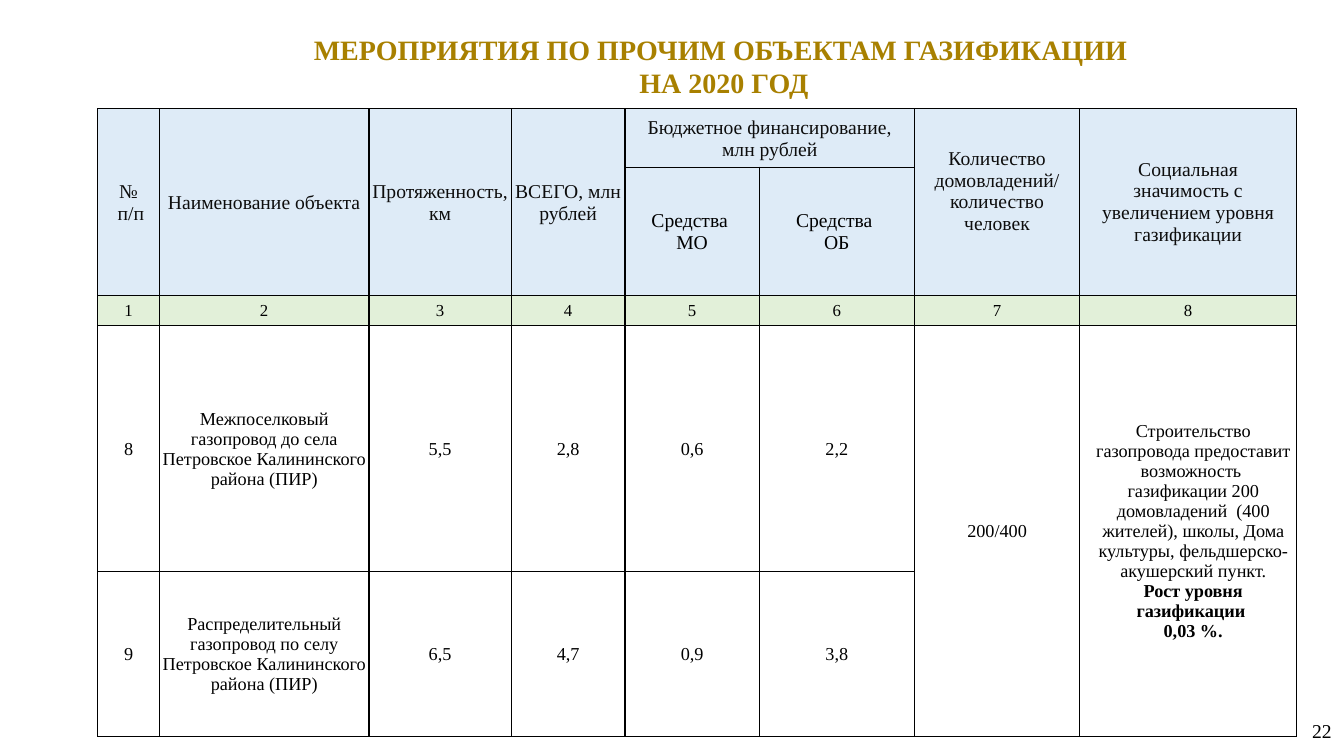
from dataclasses import dataclass

from lxml import etree
from pptx import Presentation
from pptx.dml.color import RGBColor
from pptx.enum import text
from pptx.oxml import ns
from pptx.util import Inches, Pt

TITLE = ["МЕРОПРИЯТИЯ ПО ПРОЧИМ ОБЪЕКТАМ ГАЗИФИКАЦИИ ", "НА 2020 ГОД"]
PAGE_NUMBER = ["22"]
TITLE_BOX = (1.24, 0.25, 11.88, 0.67)
PAGE_NUMBER_BOX = (12.85, 7.08, 0.52, 0.34)
TABLE_ORIGIN = (0.97, 1.08)
COLUMN_WIDTHS = [0.61, 2.08, 1.41, 1.13, 1.33, 1.54, 1.64, 2.15]
ROW_HEIGHTS = [0.58, 1.27, 0.3, 2.44, 1.64]

# One entry per cell, one line per paragraph; None is covered by a merged cell.
HEADER_ROWS = [
    ["№\n п/п", "Наименование объекта", "Протяженность, км", "ВСЕГО, млн рублей",
     "Бюджетное финансирование,\nмлн рублей", None,
     "Количество домовладений/\nколичество человек",
     "Социальная значимость с увеличением уровня газификации"],
    [None, None, None, None, "Средства \nМО", "Средства \nОБ", None, None],
]
NUMBER_ROWS = [[str(number) for number in range(1, 9)]]
BODY_ROWS = [
    ["8", "Межпоселковый газопровод до села Петровское Калининского района (ПИР)",
     "5,5", "2,8", "0,6", "2,2", "200/400",
     "Строительство газопровода предоставит возможность  газификации 200 домовладений  "
     "(400 жителей), школы, Дома культуры, фельдшерско-акушерский пункт.\n"
     "Рост уровня газификации \n 0,03 %. "],
    ["9", "Распределительный газопровод по селу Петровское Калининского района (ПИР)",
     "6,5", "4,7", "0,9", "3,8", None, None],
]
MERGES = [((0, column), (1, column)) for column in (0, 1, 2, 3, 6, 7)]
MERGES += [((0, 4), (0, 5)), ((3, 6), (4, 6)), ((3, 7), (4, 7))]
HOUSEHOLDS_HEADER = (0, 6)
SIGNIFICANCE_CELL = (3, 7)


@dataclass(frozen=True)
class Theme:
    font: str = "Times New Roman"
    title: str = "A88000"
    heading: str = "0D0D0D"
    ink: str = "000000"
    header_fill: str = "DEEBF7"
    number_fill: str = "E2F0D9"
    body_fill: str = "FFFFFF"
    title_size: int = 20
    header_size: int = 14
    number_size: int = 12
    body_size: int = 13
    border: int = 1


THEME = Theme()


def write(frame, lines, size, color, bold_from=None, indent=0):
    """Fill a frame with centred paragraphs, bold from the given line on."""
    frame.word_wrap = True
    for index, line in enumerate(lines):
        paragraph = frame.paragraphs[0] if index == 0 else frame.add_paragraph()
        paragraph.alignment = text.PP_ALIGN.CENTER
        if indent:
            properties = paragraph._p.get_or_add_pPr()
            properties.set("marL", str(Inches(indent)))
            properties.set("indent", "0")
        run = paragraph.add_run()
        run.text = line
        run.font.name = THEME.font
        run.font.size = Pt(size)
        run.font.bold = bold_from is not None and index >= bold_from
        run.font.color.rgb = RGBColor.from_string(color)


def set_margins(target, left, top, right, bottom):
    target.margin_left, target.margin_top = Inches(left), Inches(top)
    target.margin_right, target.margin_bottom = Inches(right), Inches(bottom)


def add_borders(cell):
    properties = cell._tc.get_or_add_tcPr()
    for index, side in enumerate(("lnL", "lnR", "lnT", "lnB")):
        line = etree.Element(ns.qn(f"a:{side}"), w=str(Pt(THEME.border)))
        fill = etree.SubElement(line, ns.qn("a:solidFill"))
        etree.SubElement(fill, ns.qn("a:srgbClr"), val=THEME.ink)
        properties.insert(index, line)


def add_text(slide, box, lines, size, color, bold_from=None):
    shape = slide.shapes.add_textbox(*map(Inches, box))
    write(shape.text_frame, lines, size, color, bold_from)
    return shape.text_frame


def fill_cell(cell, position, content, size, color, fill):
    cell.fill.solid()
    cell.fill.fore_color.rgb = RGBColor.from_string(fill)
    add_borders(cell)
    if content is None:
        return
    row, column = position
    cell.vertical_anchor = text.MSO_ANCHOR.MIDDLE
    if row < 3 and column >= 6:
        raised = 0.21 if position == HOUSEHOLDS_HEADER else 0
        set_margins(cell, 0.1, 0.05, 0.1, 0.05 + raised)
    else:
        set_margins(cell, 0.01, 0.01, 0.01, 0)
    is_significance = position == SIGNIFICANCE_CELL
    write(cell.text_frame, content.split("\n"), size, color,
          bold_from=1 if is_significance else None,
          indent=0.1 if is_significance else 0)


def add_table(slide):
    left, top = TABLE_ORIGIN
    table = slide.shapes.add_table(
        len(ROW_HEIGHTS), len(COLUMN_WIDTHS), Inches(left), Inches(top),
        Inches(sum(COLUMN_WIDTHS)), Inches(sum(ROW_HEIGHTS))).table
    table.first_row = table.horz_banding = False
    for column, width in zip(table.columns, COLUMN_WIDTHS):
        column.width = Inches(width)
    for row, height in zip(table.rows, ROW_HEIGHTS):
        row.height = Inches(height)
    for start, end in MERGES:
        table.cell(*start).merge(table.cell(*end))

    sections = [
        (HEADER_ROWS, THEME.header_size, THEME.header_fill),
        (NUMBER_ROWS, THEME.number_size, THEME.number_fill),
        (BODY_ROWS, THEME.body_size, THEME.body_fill),
    ]
    styled_rows = [(row, size, fill) for rows, size, fill in sections for row in rows]
    for row, (contents, size, fill) in enumerate(styled_rows):
        color = THEME.heading if row == 0 else THEME.ink
        for column, content in enumerate(contents):
            fill_cell(table.cell(row, column), (row, column), content, size, color, fill)


def main():
    presentation = Presentation()
    presentation.slide_width, presentation.slide_height = Inches(13.33), Inches(7.5)
    slide = presentation.slides.add_slide(presentation.slide_layouts[6])
    title = add_text(slide, TITLE_BOX, TITLE, THEME.title_size, THEME.title, bold_from=0)
    set_margins(title, 0.13, 0.07, 0.13, 0.07)
    add_table(slide)
    number = add_text(slide, PAGE_NUMBER_BOX, PAGE_NUMBER, THEME.header_size, THEME.ink)
    number.vertical_anchor = text.MSO_ANCHOR.MIDDLE
    presentation.save("out.pptx")


if __name__ == "__main__":
    main()
